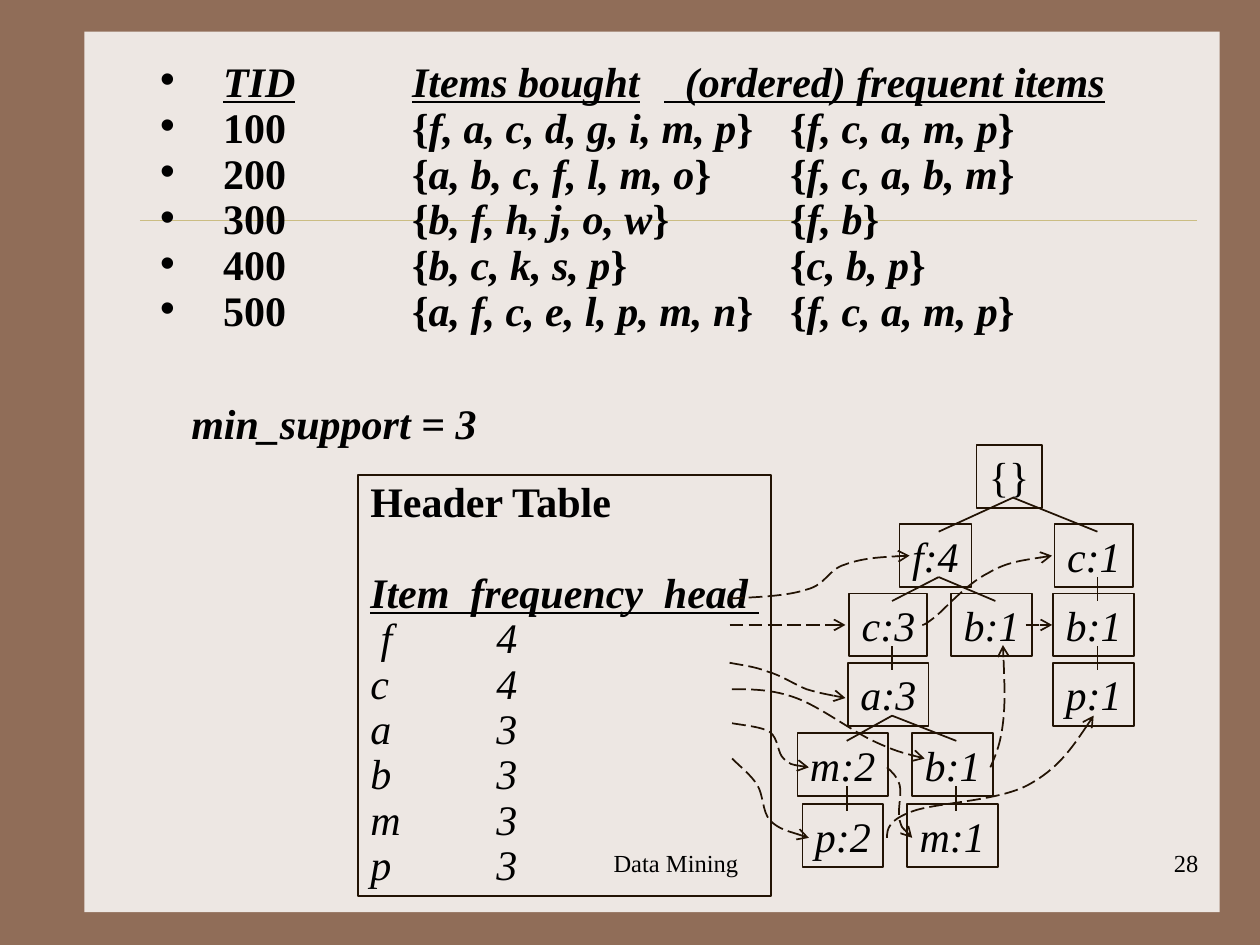
import pptx
import pptx.util
import pptx.dml.color
import pptx.enum.dml
import pptx.enum.shapes
import pptx.enum.text
import pptx.oxml
import pptx.oxml.ns
from dataclasses import dataclass

Inches = pptx.util.Inches
Pt = pptx.util.Pt
qn = pptx.oxml.ns.qn
ALIGN = pptx.enum.text.PP_ALIGN


def rgb(value):
    return pptx.dml.color.RGBColor.from_string(value)


def sub(parent, tag, **attrs):
    """Append a drawing element to parent."""
    el = pptx.oxml.parse_xml(f"<a:{tag} {pptx.oxml.ns.nsdecls('a')}/>")
    for key, value in attrs.items():
        el.set(key, str(value))
    parent.append(el)
    return el


@dataclass(frozen=True)
class Theme:
    frame: str = "906D58"
    paper: str = "EDE7E3"
    rule: str = "CBBD83"
    ink: str = "221304"
    text: str = "000000"
    font: str = "Times New Roman"
    size: int = 24
    small: int = 14
    line: float = 1
    hairline: float = 0.25


class Canvas:
    def __init__(self, slide, theme):
        self.s, self.t = slide, theme

    def run(self, p, text, size=None, b=False, i=False, u=False):
        r = p.add_run()
        r.text = text
        f = r.font
        f.name, f.size = self.t.font, Pt(size or self.t.size)
        f.bold, f.italic, f.underline = b, i, u
        f.color.rgb = rgb(self.t.text)

    def tabs(self, p):
        """Left tab stops at every inch."""
        tab_list = sub(p._p.get_or_add_pPr(), "tabLst")
        for n in range(1, 9):
            sub(tab_list, "tab", pos=Inches(n), algn="l")

    def bullet(self, p):
        ppr = p._p.get_or_add_pPr()
        ppr.set("marL", str(Inches(0.5)))
        ppr.set("indent", str(-Inches(0.5)))
        sub(sub(ppr, "buClr"), "srgbClr", val=self.t.text)
        sub(ppr, "buChar", char="•")

    def text(self, x, y, w, h, text, align=ALIGN.LEFT, spacing=None, **style):
        tf = self.s.shapes.add_textbox(*map(Inches, (x, y, w, h))).text_frame
        tf.word_wrap = True
        p = tf.paragraphs[0]
        p.alignment, p.line_spacing = align, spacing
        self.run(p, text, **style)

    def box(self, x, y, w, h, fill=None, outline=True):
        sp = self.s.shapes.add_shape(pptx.enum.shapes.MSO_SHAPE.RECTANGLE,
                                     *map(Inches, (x, y, w, h)))
        sp.shadow.inherit = False
        if fill:
            sp.fill.solid()
            sp.fill.fore_color.rgb = rgb(fill)
        else:
            sp.fill.background()
        if outline:
            self.stroke(sp)
        else:
            sp.line.fill.background()
        tf = sp.text_frame
        tf.vertical_anchor = pptx.enum.text.MSO_ANCHOR.TOP
        tf.paragraphs[0].alignment = ALIGN.LEFT
        return tf

    def stroke(self, sp, color=None, width=None, arrow=False):
        sp.line.color.rgb = rgb(color or self.t.ink)
        sp.line.width = Pt(width or self.t.line)
        if arrow:
            sp.line.dash_style = pptx.enum.dml.MSO_LINE.LONG_DASH
            sub(sp.line._get_or_add_ln(), "tailEnd", type="arrow")

    def line(self, start, end, **style):
        sp = self.s.shapes.add_connector(pptx.enum.shapes.MSO_CONNECTOR.STRAIGHT,
                                         *map(Inches, (*start, *end)))
        self.stroke(sp, **style)
        sub(sp._element.spPr, "effectLst")

    def curve(self, start, *points):
        """Dashed arrow of cubic Bezier pieces: control, control, end for each."""
        builder = self.s.shapes.build_freeform(*map(Inches, start))
        builder.add_line_segments([tuple(map(Inches, pt)) for pt in points], close=False)
        sp = builder.convert_to_shape()
        # Turn every three straight segments into one Bezier piece
        segments = list(sp._element.iter(qn("a:lnTo")))
        outline = segments[0].getparent()
        for k in range(0, len(segments), 3):
            piece = sub(outline, "cubicBezTo")
            for segment in segments[k:k + 3]:
                piece.append(segment[0])
                outline.remove(segment)
        sp.shadow.inherit = False
        sp.fill.background()
        self.stroke(sp, arrow=True)


TRANSACTIONS = [
    ("100", "f, a, c, d, g, i, m, p", "\t", "f, c, a, m, p"),
    ("200", "a, b, c, f, l, m, o", "\t", "f, c, a, b, m"),
    ("300", "b, f, h, j, o, w", "\t", "f, b"),
    ("400", "b, c, k, s, p", "\t\t", "c, b, p"),
    ("500", "a, f, c, e, l, p, m, n", "\t", "f, c, a, m, p"),
]
HEADER_ROWS = [" f\t4", "c\t4", "a\t3", "b\t3", "m\t3", "p\t3"]

# Tree nodes: label, level, box left, branch x, index of parent
NODES = [
    ("{}", 0, 7.75, 8.04, None),
    ("f:4", 1, 7.14, 7.45, 0),
    ("c:1", 1, 8.37, 8.71, 0),
    ("b:1", 2, 8.36, 8.71, 2),
    ("p:1", 3, 8.36, 8.71, 3),
    ("b:1", 2, 7.55, 7.9, 1),
    ("c:3", 2, 6.74, 7.08, 1),
    ("a:3", 3, 6.73, 7.08, 6),
    ("b:1", 4, 7.24, 7.59, 7),
    ("m:2", 4, 6.33, 6.72, 7),
    ("p:2", 5, 6.37, 6.72, 9),
    ("m:1", 5, 7.2, 7.59, 8),
]
LEVEL_TOPS = [3.53, 4.16, 4.71, 5.26, 5.82, 6.38]
NODE_WIDTHS = {"{": 0.52, "f": 0.57, "c": 0.62, "m": 0.72}

STRAIGHT_LINKS = [((5.79, 4.96), (6.71, 4.96)), ((8.14, 4.96), (8.35, 4.96))]
CURVED_LINKS = [
    [(5.79, 4.75), (6.02, 4.74), (6.25, 4.73), (6.4, 4.68), (6.56, 4.64), (6.57, 4.52),
     (6.71, 4.48), (6.85, 4.43), (7.03, 4.42), (7.22, 4.41)],
    [(7.32, 4.96), (7.33, 4.96), (7.34, 4.96), (7.43, 4.89), (7.51, 4.82), (7.68, 4.63),
     (7.84, 4.55), (7.99, 4.46), (8.17, 4.44), (8.35, 4.41)],
    [(5.79, 5.26), (5.89, 5.28), (5.99, 5.29), (6.09, 5.33), (6.2, 5.36), (6.3, 5.43),
     (6.4, 5.47), (6.5, 5.5), (6.61, 5.52), (6.71, 5.54)],
    [(5.81, 5.47), (5.97, 5.47), (6.13, 5.47), (6.32, 5.54), (6.51, 5.61), (6.76, 5.8),
     (6.93, 5.88), (7.1, 5.96), (7.22, 5.99), (7.34, 6.02)],
    [(7.86, 6.09), (7.9, 6), (7.94, 5.91), (7.96, 5.74), (7.98, 5.58), (7.97, 5.35),
     (7.96, 5.12)],
    [(5.81, 5.74), (5.93, 5.76), (6.05, 5.77), (6.11, 5.81), (6.18, 5.86), (6.17, 5.98),
     (6.22, 6.02), (6.27, 6.07), (6.34, 6.08), (6.42, 6.09)],
    [(7.04, 6.09), (7.08, 6.13), (7.12, 6.16), (7.14, 6.23), (7.16, 6.3), (7.12, 6.44),
     (7.14, 6.51), (7.16, 6.58), (7.2, 6.61), (7.24, 6.65)],
    [(5.81, 6.02), (5.88, 6.09), (5.96, 6.15), (6.01, 6.23), (6.06, 6.31), (6.05, 6.44),
     (6.11, 6.51), (6.18, 6.58), (6.3, 6.61), (6.42, 6.65)],
    [(7.04, 6.65), (7.04, 6.58), (7.05, 6.51), (7.24, 6.44), (7.43, 6.37), (7.92, 6.36),
     (8.16, 6.23), (8.4, 6.1), (8.54, 5.89), (8.68, 5.68)],
]


def add_transactions(c, body):
    body.left, body.top, body.width, body.height = map(Inches, (1.17, 0.5, 8.33, 2.33))
    tf = body.text_frame
    tf.auto_size = pptx.enum.text.MSO_AUTO_SIZE.NONE
    for n in range(len(TRANSACTIONS) + 1):
        p = tf.paragraphs[0] if n == 0 else tf.add_paragraph()
        p.line_spacing, p.space_before = 0.7, Pt(6 if n else 0)
        c.bullet(p)
        c.tabs(p)
        if n == 0:
            c.run(p, "TID\tItems bought\t  (ordered) frequent items", b=True, i=True, u=True)
            continue
        tid, items, gap, frequent = TRANSACTIONS[n - 1]
        for k, part in enumerate((tid + "\t{", items, "}" + gap + "{", frequent, "}")):
            c.run(p, part, b=True, i=k % 2 == 1)


def add_header_table(c):
    tf = c.box(2.84, 3.77, 3.28, 3.34)
    tf.word_wrap = True
    c.run(tf.paragraphs[0], "Header Table", b=True)
    tf.paragraphs[0].line_spacing = 0.9
    for n, row in enumerate(["Item  frequency  head "] + HEADER_ROWS):
        p = tf.add_paragraph()
        p.alignment, p.line_spacing = ALIGN.LEFT, 0.9
        p.space_before = Pt(0 if n else 26)
        c.tabs(p)
        c.run(p, row, b=n == 0, i=True, u=n == 0)


def add_tree(c):
    for label, level, left, x, parent in NODES:
        top = LEVEL_TOPS[level]
        tf = c.box(left, top, NODE_WIDTHS.get(label[0], 0.64), 0.5)
        tf.word_wrap = False
        c.run(tf.paragraphs[0], label, i=level > 0)
        if parent is not None:
            _, parent_level, _, parent_x, _ = NODES[parent]
            c.line((parent_x, LEVEL_TOPS[parent_level] + 0.42), (x, top + 0.06))


def main():
    prs = pptx.Presentation()
    prs.slide_width, prs.slide_height = Inches(10), Inches(7.5)
    s = prs.slides.add_slide(prs.slide_layouts[1])
    title, body = s.shapes.title, s.placeholders[1]
    title._element.getparent().remove(title._element)
    t = Theme()
    c = Canvas(s, t)

    # Background, paper and rule, behind the body text
    s.background.fill.solid()
    s.background.fill.fore_color.rgb = rgb(t.frame)
    c.box(0.67, 0.25, 9.01, 6.99, fill=t.paper, outline=False)
    c.line((1.11, 1.75), (9.5, 1.75), color=t.rule, width=t.hairline)
    s.shapes._spTree.append(body._element)

    # Footer and slide number
    c.text(3.78, 6.68, 3.17, 0.5, "Data Mining", ALIGN.CENTER, size=t.small)
    c.text(7.53, 6.68, 2.08, 0.5, "28", ALIGN.RIGHT, size=t.small)

    # Transactions and threshold
    add_transactions(c, body)
    c.text(1.42, 3.25, 2.67, 0.34, "min_support = 3", spacing=0.6, b=True, i=True)

    # Tree, header table and node links
    add_tree(c)
    add_header_table(c)
    for start, end in STRAIGHT_LINKS:
        c.line(start, end, arrow=True)
    for points in CURVED_LINKS:
        c.curve(*points)

    prs.save("out.pptx")


if __name__ == "__main__":
    main()
